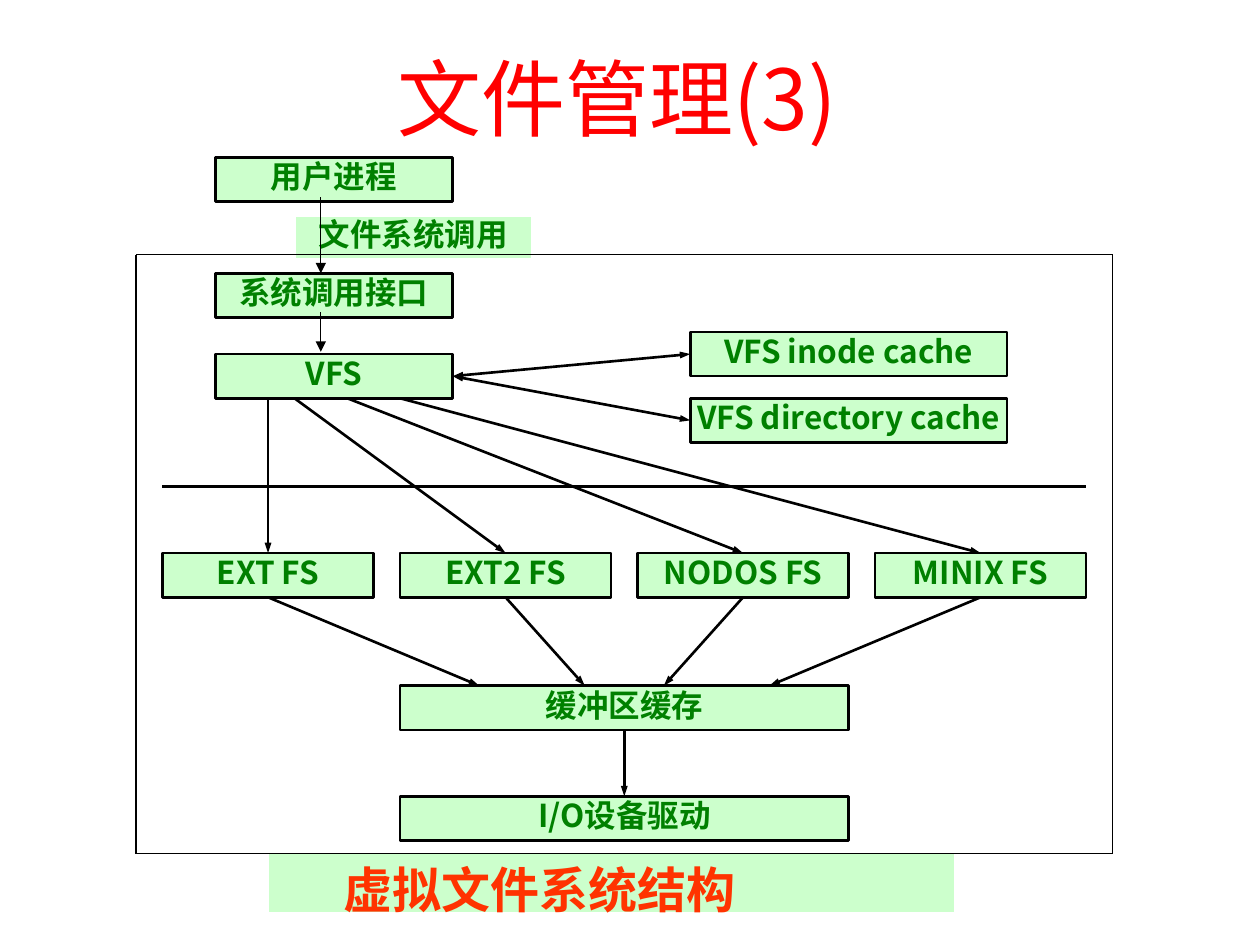
import pptx
import pptx.util
import pptx.dml.color
import pptx.enum.shapes
import pptx.enum.text
import pptx.oxml
import pptx.oxml.ns

RGBColor = pptx.dml.color.RGBColor
BLACK = RGBColor(0, 0, 0)
WHITE = RGBColor(255, 255, 255)
RED = RGBColor(255, 0, 0)
ORANGE = RGBColor(255, 51, 0)
GREEN = RGBColor(0, 128, 0)
PALE_GREEN = RGBColor(204, 255, 204)

FONT = "Noto Sans CJK SC"
ALIGN = pptx.enum.text.PP_ALIGN
ANCHOR = pptx.enum.text.MSO_ANCHOR

FRAME_LEFT, VFS_TOP = 1.08, 2.81
COLUMN = 7.75 / 37
ROW = 3.51 / 20
LAST_COLUMN = 37
FRAME_TOP, FRAME_BOTTOM = -4.5, 22.6
PROCESS_TOP, LABEL_TOP, CALL_TOP = -8.9, -6.27, -3.65
SYSTEM_TOP, BUFFER_TOP, DRIVER_TOP = 9, 15, 20
BOX_ROWS = 2


def across(column):
    return pptx.util.Inches(FRAME_LEFT + column * COLUMN)


def down(row):
    return pptx.util.Inches(VFS_TOP + row * ROW)


def write(shape, text, size=18, color=GREEN, bold=True, align=ALIGN.CENTER,
          anchor=ANCHOR.TOP, insets=(0, 0, 0, 0), wrap=True):
    frame = shape.text_frame
    frame.auto_size = pptx.enum.text.MSO_AUTO_SIZE.NONE
    frame.word_wrap = wrap
    frame.vertical_anchor = anchor
    (frame.margin_left, frame.margin_top,
     frame.margin_right, frame.margin_bottom) = map(pptx.util.Inches, insets)
    para = frame.paragraphs[0]
    para.alignment = align
    span = para.add_run()
    span.text = text
    span.font.size = pptx.util.Pt(size)
    span.font.bold = bold
    span.font.color.rgb = color
    span.font.name = FONT
    properties = span.font._element
    properties.append(properties.makeelement(
        pptx.oxml.ns.qn("a:ea"), {"typeface": FONT}))


def add_box(page, text, column, row, columns, rows=BOX_ROWS,
            outline=BLACK, weight=1.5, **text_format):
    box = page.shapes.add_shape(
        pptx.enum.shapes.MSO_SHAPE.RECTANGLE, across(column), down(row),
        pptx.util.Inches(columns * COLUMN), pptx.util.Inches(rows * ROW))
    box.shadow.inherit = False
    box.fill.solid()
    box.fill.fore_color.rgb = PALE_GREEN
    box.line.color.rgb = outline
    box.line.width = pptx.util.Pt(weight)
    write(box, text, **text_format)


def add_line(page, start, end, weight=1.5, ends=()):
    line = page.shapes.add_connector(
        pptx.enum.shapes.MSO_CONNECTOR.STRAIGHT,
        across(start[0]), down(start[1]), across(end[0]), down(end[1]))
    line.line.color.rgb = BLACK
    line.line.width = pptx.util.Pt(weight)
    outline = line.line._get_or_add_ln()
    for name in ends:
        outline.append(outline.makeelement(pptx.oxml.ns.qn("a:" + name), {
            "type": "triangle", "w": "sm" if weight > 1 else "med", "len": "med"}))
    properties = line._element.spPr
    properties.append(properties.makeelement(pptx.oxml.ns.qn("a:effectLst")))


def add_arrow(page, start, end, weight=1.5):
    add_line(page, start, end, weight, ends=("tailEnd",))


def add_title(page, text):
    title = page.shapes.title
    title.left, title.top, title.width, title.height = map(
        pptx.util.Inches, (2.17, 0.5, 5.17, 1.33))
    write(title, text, size=48, color=RED, bold=False,
          anchor=ANCHOR.MIDDLE, insets=(0.38, 0.05, 0.1, 0.84))


def add_caches(page):
    for text, row in (("VFS inode cache", -1), ("VFS directory cache", 2)):
        add_box(page, text, 21, row, 12, wrap=False)
        add_line(page, (12, 1), (21, row + 1), ends=("headEnd", "tailEnd"))


def add_file_systems(page):
    names = ("EXT FS", "EXT2 FS", "NODOS FS", "MINIX FS")
    sources = (5, 6, 8, 10)
    targets = (13, 17, 20, 24)
    for index, (name, source, target) in enumerate(zip(names, sources, targets)):
        left = 1 + 9 * index
        middle = left + 4
        add_box(page, name, left, SYSTEM_TOP, 8)
        add_arrow(page, (source, BOX_ROWS), (middle, SYSTEM_TOP))
        add_arrow(page, (middle, SYSTEM_TOP + BOX_ROWS), (target, BUFFER_TOP))


def add_frame(page):
    corners = ((0, FRAME_TOP), (LAST_COLUMN, FRAME_TOP),
               (LAST_COLUMN, FRAME_BOTTOM), (0, FRAME_BOTTOM))
    for start, end in zip(corners, corners[1:] + corners[:1]):
        add_line(page, start, end, weight=0.75)


def main():
    deck = pptx.Presentation()
    deck.slide_width = pptx.util.Inches(10)
    deck.slide_height = pptx.util.Inches(7.5)
    page = deck.slides.add_slide(deck.slide_layouts[5])
    add_title(page, "文件管理(3)")
    add_box(page, "虚拟文件系统结构", 5, FRAME_BOTTOM, 26, rows=2.67,
            outline=WHITE, weight=0.75, size=28, color=ORANGE,
            align=ALIGN.LEFT, insets=(0.6, 0.05, 0.1, 0.05))
    add_caches(page)
    add_line(page, (1, 6), (36, 6))
    add_file_systems(page)
    for text, column, row, columns in (
            ("VFS", 3, 0, 9), ("系统调用接口", 3, CALL_TOP, 9),
            ("用户进程", 3, PROCESS_TOP, 9),
            ("缓冲区缓存", 10, BUFFER_TOP, 17),
            ("I/O设备驱动", 10, DRIVER_TOP, 17)):
        add_box(page, text, column, row, columns)
    add_box(page, "文件系统调用", 6, LABEL_TOP, 9, outline=WHITE)
    add_frame(page)
    add_arrow(page, (18.5, BUFFER_TOP + BOX_ROWS), (18.5, DRIVER_TOP))
    add_arrow(page, (7, -7.1), (7, CALL_TOP), weight=0.75)
    add_arrow(page, (7, -1.9), (7, -0.1), weight=0.75)
    deck.save("out.pptx")


if __name__ == "__main__":
    main()
